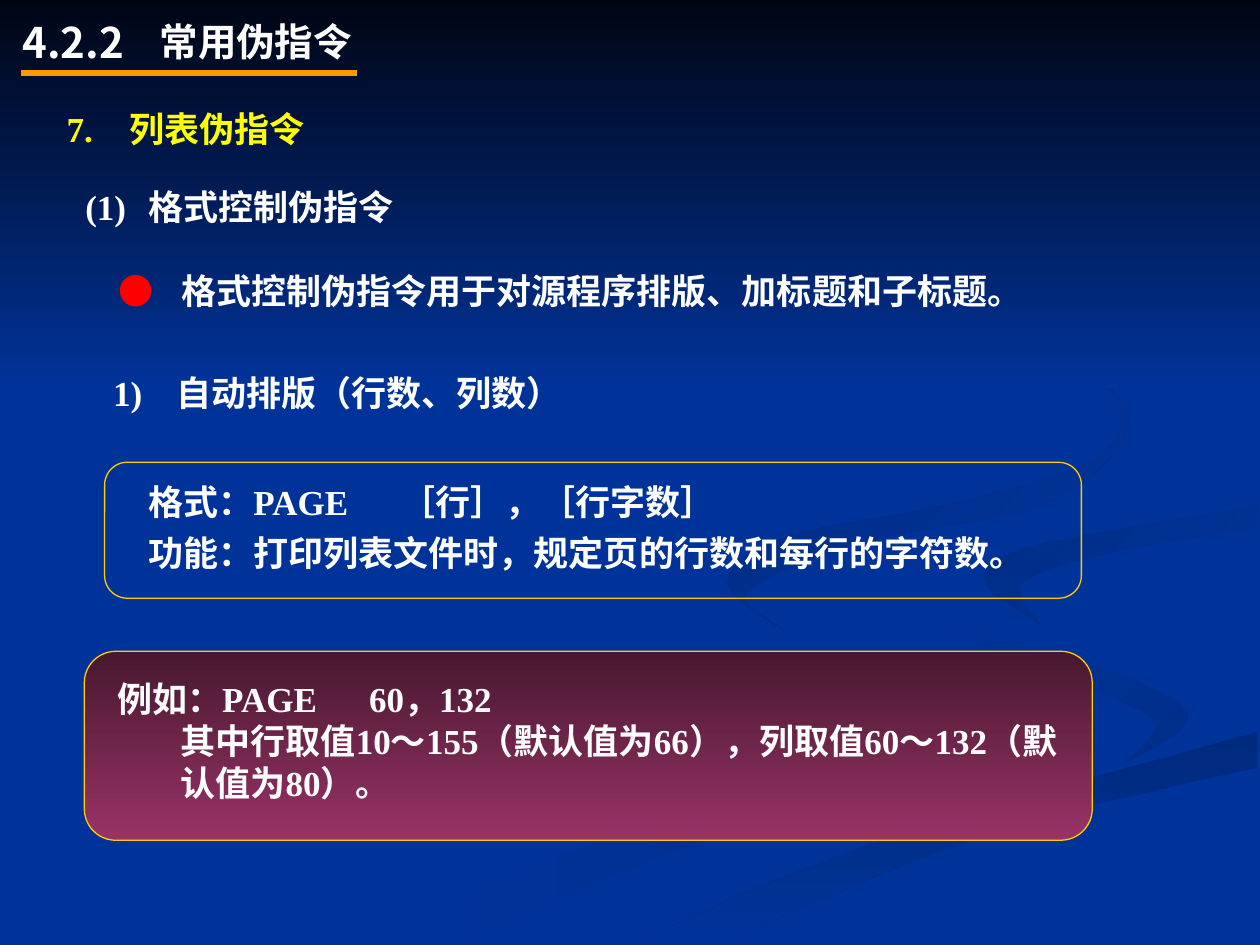
from lxml import etree
from pptx import Presentation
from pptx.dml.color import RGBColor
from pptx.enum.shapes import MSO_CONNECTOR, MSO_SHAPE
from pptx.enum.text import MSO_ANCHOR, MSO_AUTO_SIZE, PP_ALIGN
from pptx.oxml.ns import qn
from pptx.util import Cm, Pt

COLOURS = {
    "blue": "003399", "night": "000514", "white": "FFFFFF", "yellow": "FFFF00",
    "red": "FF0000", "gold": "FFCC00", "orange": "FF9900",
    "wine": "47182F", "plum": "993366",
    "soft shade": "002E8B", "deep shade": "002A7D",
    "mid shade": "002D86", "dark shade": "002B82",
}
SERIF, SANS = "Times New Roman", "Noto Sans CJK SC"

# Text: box is left, top, width, height in cm; a line is (runs, first-line indent)
TITLE = dict(box=(1.09, 2.06, 5.54, 1.07), tab=1.03, anchor=MSO_ANCHOR.MIDDLE,
             lines=[([("7.\t列表伪指令", "yellow")], 0)])
TEXTS = [
    dict(box=(0.2, 0.2, 2.74, 1.27), font=SANS, size=24,
         lines=[([("4.2.2", "white")], 0)]),
    dict(box=(2.97, 0.2, 5.51, 1.27), font=SANS, size=22, anchor=MSO_ANCHOR.MIDDLE,
         lines=[([("常用伪指令", "white")], 0)]),
    dict(box=(1.47, 3.61, 9, 1.12), tab=1.86,
         lines=[([("(1)\t格式控制伪指令", "white")], 0)]),
    dict(box=(2.13, 5.31, 19.2, 1.12), tab=1.02,
         lines=[([("●\t", "red"),
                  ("格式控制伪指令用于对源程序排版、加标题和子标题。", "white")], 0)]),
    dict(box=(2.03, 7.37, 10.5, 1.12), tab=1.48,
         lines=[([("1)\t自动排版（行数、列数）", "white")], 0)]),
    dict(box=(2.74, 9.4, 19, 2.29), tab=4.88, spacing=1.2,
         lines=[([("格式：PAGE\t［行］，［行字数］", "white")], 0),
                ([("功能：打印列表文件时，规定页的行数和每行的字符数。", "white")], 0)]),
    dict(box=(2.11, 13.54, 19.89, 3.66), tab=4.73,
         lines=[([("例如：PAGE\t60，132", "white")], 0),
                ([("其中行取值10～155（默认值为66），列取值60～132（默", "white")], 1.28),
                ([("认值为80）。", "white")], 1.28)]),
]
# Cards: box, gradient
CARDS = [((2.11, 9.32, 19.69, 2.74), None),
         ((1.7, 13.13, 20.32, 3.81), ("wine", "plum"))]

# Background swirls: gradient, angle, two edges in hundredths of an inch
SWIRLS = [
    (("blue", "soft shade"), 0,
     [(781, 553), (780, 579), (684, 613), (458, 674), (300, 749)],
     [(361, 749), (564, 665), (740, 618), (800, 581), (781, 553)]),
    (("blue", "soft shade"), 45,
     [(724, 464), (758, 498), (888, 535), (943, 570), (894, 605)],
     [(894, 605), (915, 571), (838, 536), (739, 494), (724, 464)]),
    (("deep shade", "blue"), 90,
     [(503, 749), (630, 693), (764, 647), (998, 581)],
     [(998, 609), (785, 661), (571, 749)]),
    (("mid shade", "blue"), 45,
     [(826, 496), (781, 460), (821, 433), (998, 402)],
     [(998, 420), (896, 435), (812, 462), (826, 496)]),
    (("dark shade", "blue"), 45,
     [(762, 233), (864, 291), (894, 344), (825, 402), (683, 430), (593, 470), (622, 500)],
     [(622, 500), (577, 462), (625, 426), (763, 398), (876, 360), (876, 306), (762, 233)]),
]
STEPS = 6


def rgb(name):
    return RGBColor.from_string(COLOURS[name])


def lengths(box):
    return [Cm(value) for value in box]


def smooth(edge):
    """Catmull-Rom curve through the points of an edge."""
    padded = [edge[0], *edge, edge[-1]]
    curve = []
    for a, b, c, d in zip(padded, padded[1:], padded[2:], padded[3:]):
        for step in range(STEPS):
            t = step / STEPS
            curve.append(tuple(
                q + t * (r - p + t * (2 * p - 5 * q + 4 * r - s
                                      + t * (3 * (q - r) + s - p))) / 2
                for p, q, r, s in zip(a, b, c, d)))
    return curve + [edge[-1]]


def fill_gradient(shape, names, angle):
    shape.fill.gradient()
    shape.fill.gradient_angle = -angle % 360
    for stop, name in zip(shape.fill.gradient_stops, names):
        stop.color.rgb = rgb(name)


def write(shape, lines, box, font=SERIF, size=20, tab=None, spacing=None,
          anchor=MSO_ANCHOR.TOP):
    shape.left, shape.top, shape.width, shape.height = lengths(box)
    frame = shape.text_frame
    frame.word_wrap, frame.auto_size = True, MSO_AUTO_SIZE.NONE
    frame.vertical_anchor = anchor
    for index, (runs, indent) in enumerate(lines):
        paragraph = frame.add_paragraph() if index else frame.paragraphs[0]
        properties = paragraph._p.get_or_add_pPr()
        properties.set("indent", str(Cm(indent)))
        if tab:
            stops = etree.SubElement(properties, qn("a:tabLst"))
            etree.SubElement(stops, qn("a:tab"), pos=str(Cm(tab)), algn="l")
        paragraph.alignment = PP_ALIGN.LEFT
        paragraph.line_spacing = spacing
        for text, colour in runs:
            run = paragraph.add_run()
            run.text = text
            run.font.name, run.font.size, run.font.bold = font, Pt(size), True
            run.font.color.rgb = rgb(colour)
            etree.SubElement(run._r.get_or_add_rPr(), qn("a:ea"), typeface=SANS)


def main():
    deck = Presentation()
    deck.slide_width, deck.slide_height = Cm(25.4), Cm(19.05)
    slide = deck.slides.add_slide(deck.slide_layouts[5])
    shapes = slide.shapes

    # Background: swirls under a dark band at the top
    slide.background.fill.solid()
    slide.background.fill.fore_color.rgb = rgb("blue")
    for names, angle, outer, inner in SWIRLS:
        outline = smooth(outer) + smooth(inner)
        builder = shapes.build_freeform(*outline[0], scale=Cm(0.0254))
        builder.add_line_segments(outline[1:], close=True)
        swirl = builder.convert_to_shape()
        swirl.shadow.inherit = False
        swirl.line.fill.background()
        fill_gradient(swirl, names, angle)
    band = shapes.add_shape(MSO_SHAPE.RECTANGLE, *lengths((0, 0, 25.4, 7.82)))
    band.shadow.inherit = False
    band.line.fill.background()
    fill_gradient(band, ("night", "blue"), 90)

    # Cards
    for box, names in CARDS:
        card = shapes.add_shape(MSO_SHAPE.ROUNDED_RECTANGLE, *lengths(box))
        card.shadow.inherit = False
        card.line.color.rgb, card.line.width = rgb("gold"), Pt(0.75)
        if names:
            fill_gradient(card, names, 90)
        else:
            card.fill.background()

    # Title, brought in front of the band, and the other texts
    shapes._spTree.append(shapes.title._element)
    write(shapes.title, **TITLE)
    for text in TEXTS:
        write(shapes.add_textbox(*lengths(text["box"])), **text)

    # Rule under the section heading
    rule = shapes.add_connector(MSO_CONNECTOR.STRAIGHT, *lengths((0.43, 1.47, 7.19, 1.47)))
    rule.line.color.rgb, rule.line.width = rgb("orange"), Pt(3)
    etree.SubElement(rule._element.spPr, qn("a:effectLst"))

    deck.save("out.pptx")


if __name__ == "__main__":
    main()
